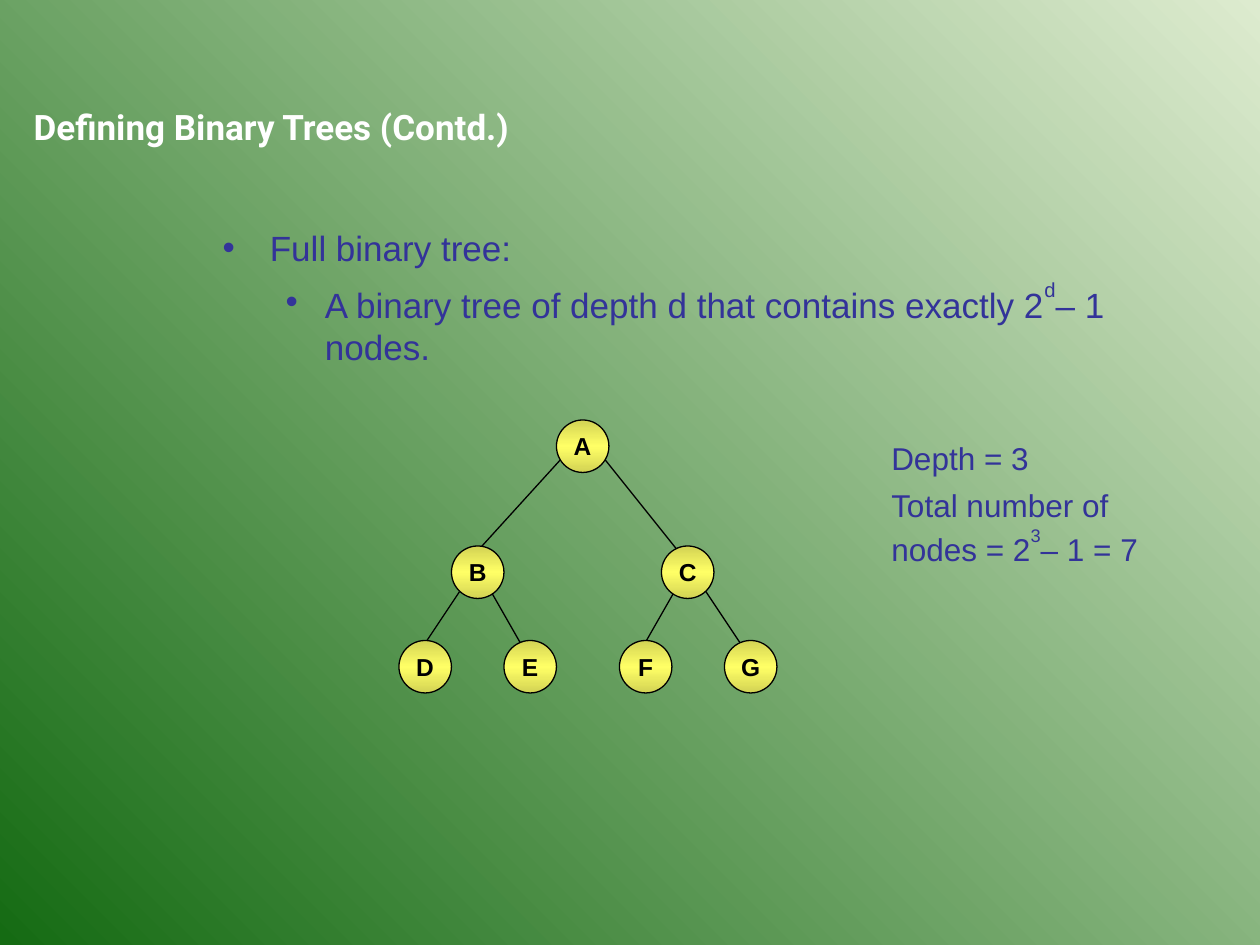
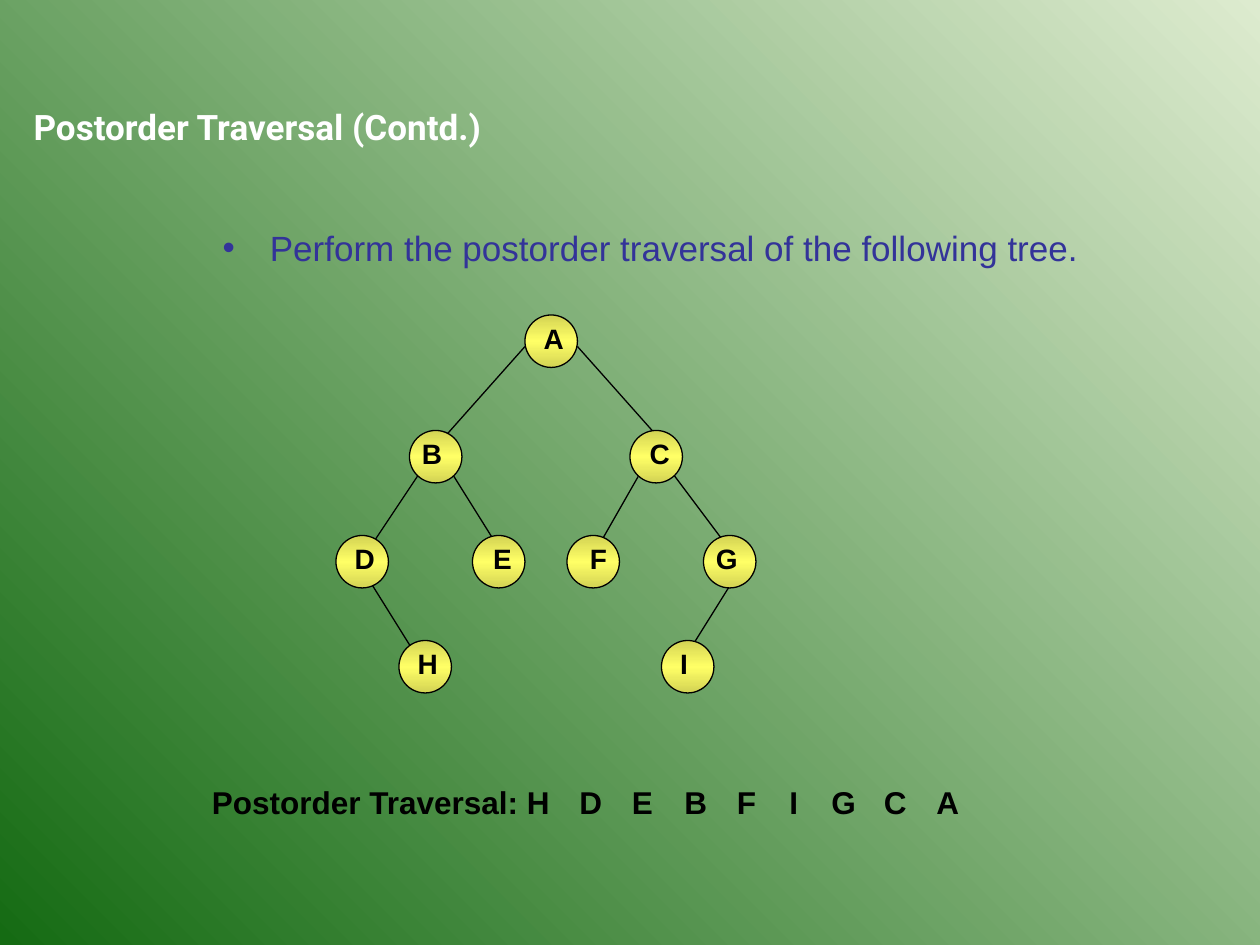
from lxml import etree
from pptx import Presentation
from pptx.dml.color import RGBColor
from pptx.enum.shapes import MSO_CONNECTOR, MSO_SHAPE
from pptx.enum.text import MSO_ANCHOR, MSO_AUTO_SIZE, PP_ALIGN
from pptx.oxml.ns import qn
from pptx.util import Cm, Pt

LEFT, CENTER = PP_ALIGN.LEFT, PP_ALIGN.CENTER
TOP, MIDDLE = MSO_ANCHOR.TOP, MSO_ANCHOR.MIDDLE
OVAL, LINE = MSO_SHAPE.OVAL, MSO_CONNECTOR.STRAIGHT
FIXED = MSO_AUTO_SIZE.NONE

BLACK, WHITE, NAVY = "000000", "FFFFFF", "333399"
BACK = ["DDEBCF", "156B13"]
GOLD = ["D3D354", "FFFF66", "D3D354"]
UNIT = 2.54 / 12  # every place is counted in twelfths of an inch
NODE = 5  # node diameter in units


def grid(*counts):
    return [Cm(n * UNIT) for n in counts]


def color(code):
    return RGBColor.from_string(code)


def blend(fill, owner, codes, angle):
    """Fill with evenly spaced stops; angle runs counter-clockwise."""
    fill.gradient()
    fill.gradient_angle = angle
    stops = owner.find(".//" + qn("a:gsLst"))
    for old in list(stops):
        stops.remove(old)
    for i, code in enumerate(codes):
        pos = round(100000 * i / (len(codes) - 1))
        stop = etree.SubElement(stops, qn("a:gs"), pos=str(pos))
        etree.SubElement(stop, qn("a:srgbClr"), val=code)


def write(frame, text, size=18, hue=BLACK, font="Arial", bold=False,
          align=LEFT, level=0, before=0, left=0, first=0, bullet=False):
    """Add a paragraph; parts between ^ signs are raised."""
    para = frame.paragraphs[0]
    if para.runs:
        para = frame.add_paragraph()
    props = para._p.get_or_add_pPr()
    margin, indent = grid(left, first)
    props.set("marL", str(margin))
    props.set("indent", str(indent))
    if bullet:
        tint = etree.SubElement(props, qn("a:buClr"))
        etree.SubElement(tint, qn("a:srgbClr"), val=hue)
        etree.SubElement(props, qn("a:buFont"), typeface="Arial")
        etree.SubElement(props, qn("a:buChar"), char="•")
    para.level, para.alignment = level, align
    para.space_before = Pt(before)
    for i, part in enumerate(text.split("^")):
        run = para.add_run()
        run.text = part
        run.font.size, run.font.name, run.font.bold = Pt(size), font, bold
        run.font.color.rgb = color(hue)
        if i % 2:
            run.font._element.set("baseline", "60000")


def place(holder, *box):
    """Move a placeholder and return its text frame."""
    holder.left, holder.top, holder.width, holder.height = grid(*box)
    frame = holder.text_frame
    frame.auto_size, frame.vertical_anchor = FIXED, TOP
    frame.word_wrap = True
    return frame


def label(slide, text, *box, wrap=True, **style):
    frame = slide.shapes.add_textbox(*grid(*box)).text_frame
    frame.word_wrap = wrap
    write(frame, text, **style)
    return frame


def edge(slide, *ends):
    line = slide.shapes.add_connector(LINE, *grid(*ends))
    line.line.color.rgb, line.line.width = color(BLACK), Pt(0.75)
    etree.SubElement(line._element.spPr, qn("a:effectLst"))


def node(slide, x, y):
    disc = slide.shapes.add_shape(OVAL, *grid(x, y, NODE, NODE))
    disc.shadow.inherit = False
    blend(disc.fill, disc._element, GOLD, 270)
    disc.line.color.rgb, disc.line.width = color(BLACK), Pt(0.75)
    return disc.text_frame


def start(deck, title):
    """Add a slide with its title; return it and its body frame."""
    slide = deck.slides.add_slide(deck.slide_layouts[1])
    head = place(slide.shapes.title, 2, 9.4, 90, 5.3)
    write(head, title, size=20, hue=WHITE, font="Roboto", bold=True)
    return slide, place(slide.placeholders[1], 20, 21, 96, 60)


def point(body, text, level=0):
    left, first = [(4.5, -4.5), (9.75, -3.75)][level]
    write(body, text, size=20, hue=NAVY, level=level, before=5 * level,
          left=left, first=first, bullet=True)


def full(deck):
    slide, body = start(deck, "Defining Binary Trees (Contd.)")
    point(body, "Full binary tree:")
    point(body, "A binary tree of depth d that contains exactly 2^d^– 1 nodes.", 1)

    # Tree
    for ends in [(67, 56, 71, 62), (65, 55, 61, 62), (46, 55, 50, 62),
                 (44, 56, 40, 62), (57, 43, 65, 53), (55, 42, 45, 53)]:
        edge(slide, *ends)
    for name, x, y in [("A", 53, 40), ("B", 43, 52), ("C", 63, 52),
                       ("D", 38, 61), ("E", 48, 61), ("F", 59, 61),
                       ("G", 69, 61)]:
        frame = node(slide, x, y)
        frame.word_wrap, frame.vertical_anchor = False, MIDDLE
        write(frame, name, size=14, bold=True, align=CENTER)

    # Node count
    side = label(slide, "Depth = 3", 83.7, 41.2, 27.3, 14.8, hue=NAVY)
    write(side, "Total number of nodes = 2^3^– 1 = 7", hue=NAVY,
          before=5.5, first=-0.5)


def post(deck):
    slide, body = start(deck, "Postorder Traversal (Contd.)")
    point(body, "Perform the postorder traversal of the following tree.")

    # Tree: each letter sits a little to the right of its node's edge
    for ends in [(70, 55, 65, 63), (35, 55, 40, 63), (40, 45, 34, 54),
                 (43, 45, 48, 53), (61, 45, 57, 52), (64, 45, 70, 53),
                 (50, 33, 42, 42), (55, 33, 63, 42)]:
        edge(slide, *ends)
    for name, x, y, shift in [
            ("A", 50, 30, 0.6), ("B", 39, 41, 0), ("C", 60, 41, 0.7),
            ("D", 32, 51, 0.6), ("E", 45, 51, 0.8), ("F", 54, 51, 1),
            ("G", 67, 51, 0), ("H", 38, 61, 0.6), ("I", 63, 61, 0.6)]:
        node(slide, x, y)
        label(slide, name, x + shift, y, 4.3, 4.4, wrap=False,
              size=16, bold=True)

    # Answer
    label(slide, "Postorder Traversal:", 19, 74, 32, 4.8, bold=True)
    for name, x in zip("HDEBFIGCA", [49, 54, 59, 64, 69, 74, 78, 83, 88]):
        label(slide, name, x, 74, 8, 4.8, bold=True)


def main():
    deck = Presentation()
    deck.slide_width, deck.slide_height = Cm(25.4), Cm(19.05)
    master = deck.slide_master
    blend(master.background.fill, master._element, BACK, 225)
    full(deck)
    post(deck)
    deck.save("out.pptx")


if __name__ == "__main__":
    main()
